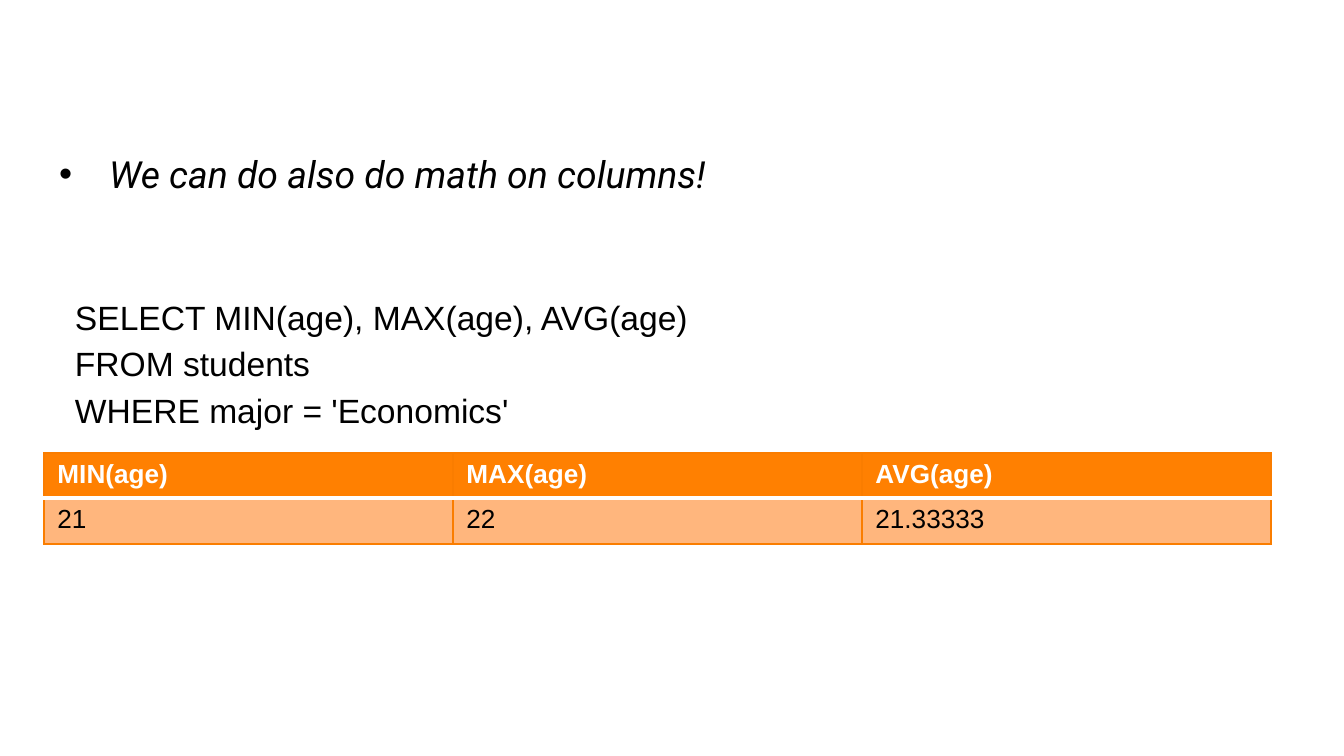
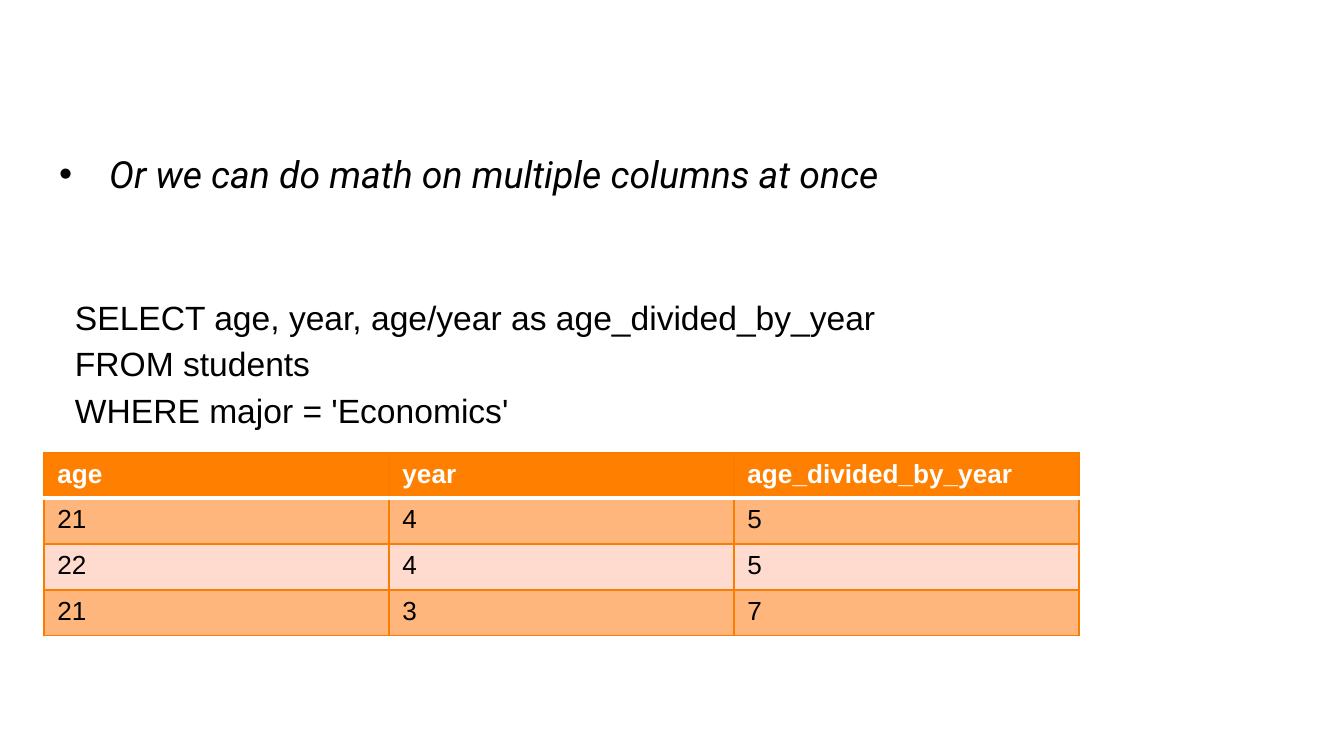
from dataclasses import dataclass
from pptx import Presentation
from pptx.dml.color import RGBColor as Rgb
from pptx.enum.text import MSO_ANCHOR as Anchor, MSO_AUTO_SIZE as AutoSize
from pptx.oxml.ns import qn
from pptx.util import Emu, Pt
from lxml.etree import SubElement

PX = 914400 / 134.4


@dataclass(frozen=True)
class Theme:
    ink: str = "000000"
    paper: str = "FFFFFF"
    header: str = "FF8001"
    border: str = "FA7D00"
    bands: tuple = ("FFB67D", "FFDACF")
    sans: str = "Arial"
    accent_font: str = "Roboto"
    point_size: int = 20
    query_size: int = 18
    cell_size: int = 14


theme = Theme()


def px(length):
    return Emu(round(length * PX))


def apply(target, formats, color=None):
    for name, value in formats.items():
        setattr(target, name, value)
    if color:
        target.color.rgb = Rgb.from_string(color)


point_font = dict(name=theme.accent_font, size=Pt(theme.point_size), bold=False, italic=True)
query_font = dict(name=theme.sans, size=Pt(theme.query_size), bold=False, italic=False)
cell_font = dict(name=theme.sans, size=Pt(theme.cell_size), italic=False)
query_place = dict(left=px(46), top=px(278), width=px(1253), height=px(304))
query_frame = dict(word_wrap=True, auto_size=AutoSize.NONE, vertical_anchor=Anchor.TOP,
                   margin_left=px(13), margin_right=px(13),
                   margin_top=px(13), margin_bottom=px(13))
query_spacing = dict(line_spacing=1.15, space_before=Pt(0), space_after=Pt(0))

lessons = [
    dict(
        point="We can do also do math on columns!",
        select="SELECT MIN(age), MAX(age), AVG(age)",
        column_width=409,
        result=[("MIN(age)", "MAX(age)", "AVG(age)"), ("21", "22", "21.33333")],
    ),
    dict(
        point="Or we can do math on multiple columns at once",
        select="SELECT age, year, age/year as age_divided_by_year",
        column_width=345,
        result=[("age", "year", "age_divided_by_year"),
                ("21", "4", "5"), ("22", "4", "5"), ("21", "3", "7")],
    ),
]
query_tail = ["FROM students", "WHERE major = 'Economics'"]

deck = Presentation()
deck.slide_width, deck.slide_height = px(1344), px(756)

for lesson in lessons:
    slide = deck.slides.add_slide(deck.slide_layouts[1])
    slide.background.fill.solid()
    slide.background.fill.fore_color.rgb = Rgb.from_string(theme.paper)
    unused_title = slide.shapes.title.element
    unused_title.getparent().remove(unused_title)

    query = slide.placeholders[1]
    apply(query, query_place)
    apply(query.text_frame, query_frame)
    query.text_frame.text = "\n".join([lesson["select"], *query_tail])
    for line in query.text_frame.paragraphs:
        properties = line._p.get_or_add_pPr()
        properties.set("marL", str(px(16)))
        properties.set("indent", "0")
        SubElement(properties, qn("a:buNone"))
        apply(line, query_spacing)
        apply(line.runs[0].font, query_font, theme.ink)

    point = slide.shapes.add_textbox(px(46), px(145), px(1251), px(59))
    apply(point.text_frame, dict(word_wrap=True, auto_size=AutoSize.SHAPE_TO_FIT_TEXT))
    point.text_frame.text = lesson["point"]
    statement = point.text_frame.paragraphs[0]
    properties = statement._p.get_or_add_pPr()
    properties.set("marL", str(px(50)))
    properties.set("indent", str(-px(50)))
    bullet_color = SubElement(properties, qn("a:buClr"))
    SubElement(bullet_color, qn("a:srgbClr"), val=theme.ink)
    SubElement(properties, qn("a:buFont"), typeface=theme.sans)
    SubElement(properties, qn("a:buChar"), char="•")
    apply(statement.runs[0].font, point_font, theme.ink)

    rows = lesson["result"]
    column_count, row_count = len(rows[0]), len(rows)
    result = slide.shapes.add_table(
        row_count, column_count, px(44), px(453),
        px(lesson["column_width"] * column_count), px(46 * row_count - 1)).table
    for column in result.columns:
        column.width = px(lesson["column_width"])
    for row_index, values in enumerate(rows):
        is_header = row_index == 0
        result.rows[row_index].height = px(45 if is_header else 46)
        fill_color = theme.header if is_header else theme.bands[(row_index - 1) % 2]
        divider_side = {0: "B", 1: "T"}.get(row_index)
        for column_index, value in enumerate(values):
            cell = result.cell(row_index, column_index)
            cell.text = value
            apply(cell.text_frame.paragraphs[0].runs[0].font,
                  cell_font | dict(bold=is_header), theme.paper if is_header else theme.ink)
            cell_properties = cell._tc.get_or_add_tcPr()
            for side in "LRTB":
                is_divider = side == divider_side
                edge = SubElement(cell_properties, qn(f"a:ln{side}"),
                                  w=str(Pt(2 if is_divider else 0.75)))
                edge_fill = SubElement(edge, qn("a:solidFill"))
                SubElement(edge_fill, qn("a:srgbClr"),
                           val=theme.paper if is_divider else theme.border)
            cell.fill.solid()
            cell.fill.fore_color.rgb = Rgb.from_string(fill_color)

deck.save("out.pptx")
